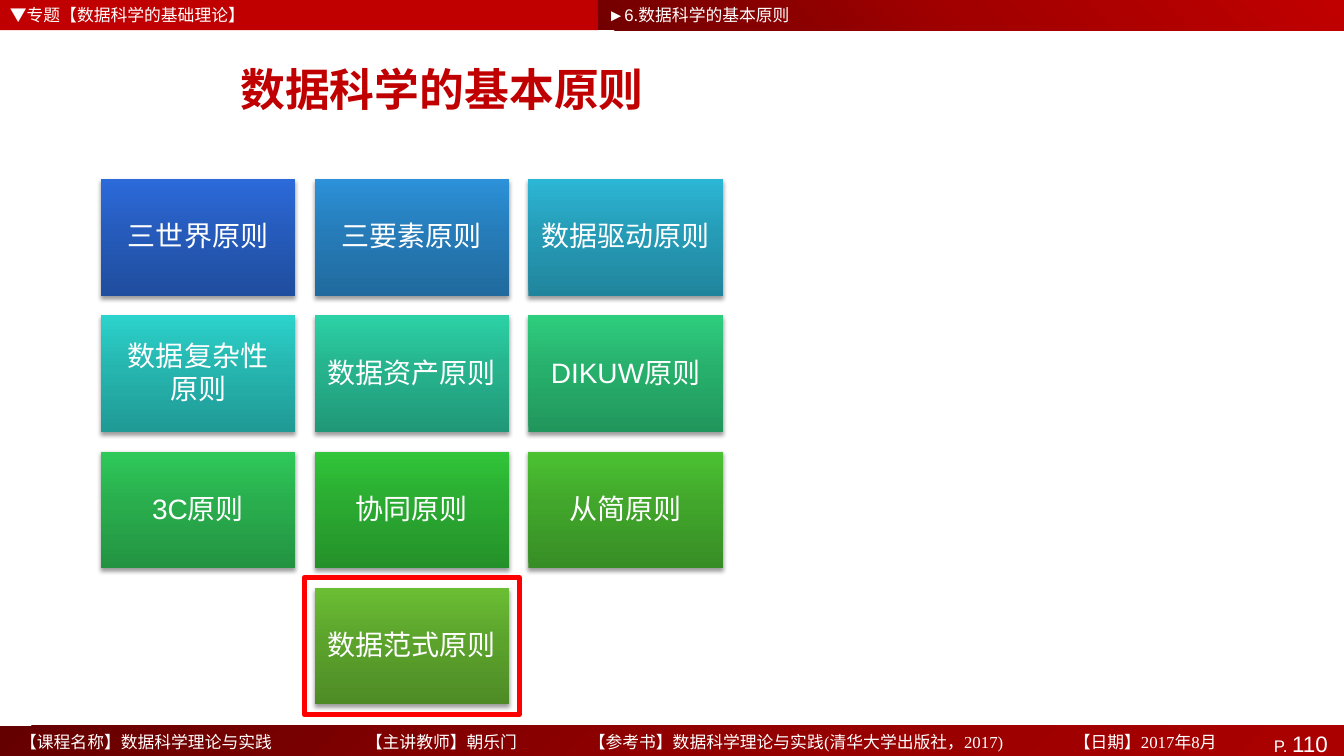
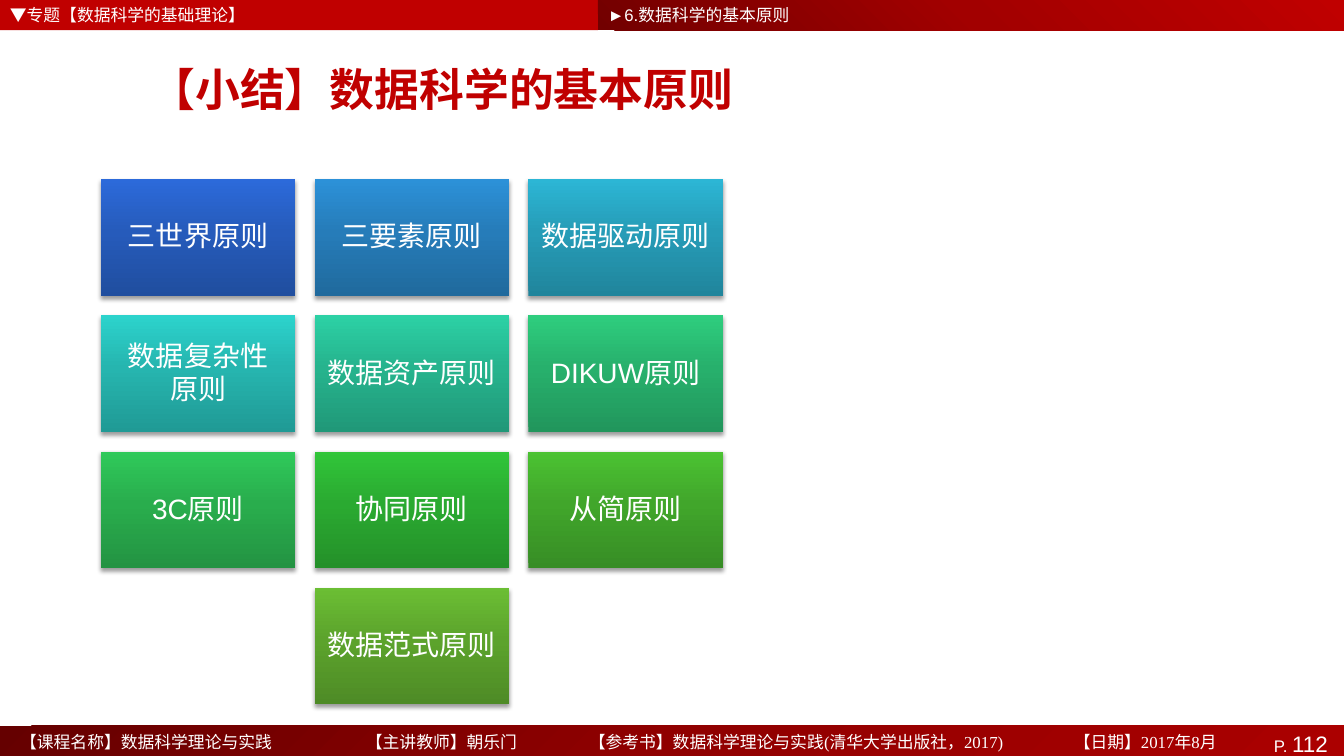
from dataclasses import dataclass

from lxml import etree
from pptx import Presentation
from pptx.dml.color import RGBColor
from pptx.enum.shapes import MSO_SHAPE
from pptx.enum.text import MSO_ANCHOR, PP_ALIGN
from pptx.oxml.ns import qn
from pptx.util import Inches, Pt

RECT = MSO_SHAPE.RECTANGLE
MIDDLE = MSO_ANCHOR.MIDDLE
LEFT, CENTER, RIGHT = PP_ALIGN.LEFT, PP_ALIGN.CENTER, PP_ALIGN.RIGHT

# Slide size, shared bands and type
SLIDE_W, SLIDE_H = 13.33, 7.5
BAND_H = 0.3
SPLIT = 5.93
FOOTER_Y = SLIDE_H - BAND_H
RED, WHITE, FRAME_RED = "C00000", "FFFFFF", "FF0000"
HEADER_STOPS = ((0, "720000"), (50, "A20000"), (100, RED))
FOOTER_STOPS = ((0, "650000"), (50, "900000"), (100, "AB0000"))
SANS, SERIF, CJK = "Arial", "Times New Roman", "Noto Sans CJK SC"

TOPIC = "▼专题【数据科学的基础理论】"
SECTION = "►6.数据科学的基本原则"
FOOTER_X = 0.2
FOOTER_ITEMS = (
    ("【课程名称】数据科学理论与实践", 0.2),
    ("【主讲教师】朝乐门", 3.63),
    ("【参考书】数据科学理论与实践(清华大学出版社，2017)", 5.84),
    ("【日期】2017年8月", 10.65),
)

# Tile grid
GRID_X, GRID_Y = 1, 1.78
TILE_W, TILE_H = 1.93, 1.16
STEP_X, STEP_Y = 2.12, 1.35
FRAME_GAP = 0.1


@dataclass(frozen=True)
class Tile:
    col: int
    row: int
    text: str
    dark: str
    mid: str
    light: str

    @property
    def box(self) -> tuple:
        return (GRID_X + self.col * STEP_X, GRID_Y + self.row * STEP_Y,
                TILE_W, TILE_H)


@dataclass(frozen=True)
class Page:
    title: str
    number: int
    framed: tuple = ()


PARADIGM = Tile(1, 3, "数据范式原则", "4E8B26", "5CA32C", "6BBE34")
TILES = (
    Tile(0, 0, "三世界原则", "204E9F", "265BBB", "2C6ADA"),
    Tile(1, 0, "三要素原则", "206A9D", "267CB9", "2C91D8"),
    Tile(2, 0, "数据驱动原则", "20859C", "269CB7", "2CB6D5"),
    Tile(0, 1, "数据复杂性\n原则", "209A95", "26B5AF", "2CD3CC"),
    Tile(1, 1, "数据资产原则", "209878", "26B38D", "2CD1A5"),
    Tile(2, 1, "DIKUW原则", "21965C", "27B06C", "2ECD7E"),
    Tile(0, 2, "3C原则", "239342", "29AD4D", "2FC95A"),
    Tile(1, 2, "协同原则", "249029", "2AAA31", "31C539"),
    Tile(2, 2, "从简原则", "378D25", "41A62B", "4BC232"),
    PARADIGM,
)
PAGES = (
    Page("数据科学的基本原则", 110, (PARADIGM,)),
    Page("【小结】数据科学的基本原则", 112),
)


def color(value: str) -> RGBColor:
    return RGBColor.from_string(value)


def sub(parent, tag: str, **attrs):
    return etree.SubElement(parent, qn(tag), {k: str(v) for k, v in attrs.items()})


def add_rect(s, box: tuple):
    sp = s.shapes.add_shape(RECT, *map(Inches, box))
    sp.shadow.inherit = False
    sp.fill.background()
    sp.line.fill.background()
    return sp


def set_gradient(sp, stops: tuple, angle: int) -> None:
    """Fill with a linear gradient; angle is counter-clockwise."""
    sp.fill.gradient()
    sp.fill.gradient_angle = angle
    stop_list = sp._element.spPr.find(qn("a:gradFill")).find(qn("a:gsLst"))
    stop_list.clear()
    for pos, value in stops:
        stop = sub(stop_list, "a:gs", pos=pos * 1000)
        sub(stop, "a:srgbClr", val=value)


def set_shadow(sp) -> None:
    effects = sp._element.spPr.find(qn("a:effectLst"))
    shadow = sub(effects, "a:outerShdw", blurRad=Pt(3.1), dist=Pt(2),
                 dir=90 * 60000, rotWithShape=0)
    black = sub(shadow, "a:srgbClr", val="000000")
    sub(black, "a:alpha", val=38000)


def set_font(p, size: float, name: str = SANS, value: str = WHITE,
             bold: bool = False) -> None:
    f = p.font
    f.size, f.bold, f.name = Pt(size), bold, name
    f.color.rgb = color(value)
    sub(f._element, "a:ea", typeface=CJK)


def set_frame(tf, side: float, top: float = 0) -> None:
    tf.word_wrap = True
    tf.vertical_anchor = MIDDLE
    tf.margin_left = tf.margin_right = Inches(side)
    tf.margin_top, tf.margin_bottom = Inches(top), 0


def add_label(s, box: tuple, text: str, side: float = 0.1,
              name: str = SANS, tabs: tuple = ()) -> None:
    tf = s.shapes.add_textbox(*map(Inches, box)).text_frame
    set_frame(tf, side)
    p = tf.paragraphs[0]
    p.text = text
    p.alignment = LEFT
    if tabs:
        tab_list = sub(p._p.get_or_add_pPr(), "a:tabLst")
        for pos in tabs:
            sub(tab_list, "a:tab", pos=Inches(pos), algn="l")
    set_font(p, 12, name)


def add_header(s) -> None:
    band = add_rect(s, (0, 0, SPLIT, BAND_H))
    band.fill.solid()
    band.fill.fore_color.rgb = color(RED)
    set_gradient(add_rect(s, (SPLIT, 0, SLIDE_W - SPLIT, BAND_H)), HEADER_STOPS, 45)
    add_label(s, (0, 0, 4.83, BAND_H), TOPIC)
    add_label(s, (SPLIT, 0, 2.4, BAND_H), SECTION)


def add_footer(s, number: int) -> None:
    band = add_rect(s, (0, FOOTER_Y, SLIDE_W, BAND_H))
    set_gradient(band, FOOTER_STOPS, 315)
    tf = band.text_frame
    set_frame(tf, 0.16, 0.06)
    p = tf.paragraphs[0]
    p.alignment = RIGHT
    set_font(p, 12)
    for text, size in (("P. ", 12), (str(number), 16)):
        r = p.add_run()
        r.text = text
        r.font.size = Pt(size)
        r.font.color.rgb = color(WHITE)
    add_label(s, (FOOTER_X, FOOTER_Y + 0.02, 12.3, BAND_H - 0.02),
              "\t".join(text for text, _ in FOOTER_ITEMS), 0, SERIF,
              tuple(x - FOOTER_X for _, x in FOOTER_ITEMS[1:]))


def set_title(s, text: str) -> None:
    title = s.shapes.title
    title.left, title.top, title.width, title.height = map(
        Inches, (0.44, 0.43, 7.89, 0.9))
    tf = title.text_frame
    tf.text = text
    set_frame(tf, 0.1)
    p = tf.paragraphs[0]
    p.alignment = CENTER
    set_font(p, 32, CJK, RED, True)


def add_tile(s, tile: Tile) -> None:
    sp = add_rect(s, tile.box)
    set_gradient(sp, ((0, tile.dark), (55, tile.mid), (100, tile.light)), 90)
    set_shadow(sp)
    tf = sp.text_frame
    tf.text = tile.text
    set_frame(tf, 0.08)
    for p in tf.paragraphs:
        p.alignment = CENTER
        p.line_spacing = 0.9
        p.space_after = Pt(2.5)
        set_font(p, 20)


def add_highlight(s, tile: Tile) -> None:
    x, y, w, h = tile.box
    sp = add_rect(s, (x - FRAME_GAP, y - FRAME_GAP,
                      w + 2 * FRAME_GAP, h + 2 * FRAME_GAP))
    sp.line.color.rgb = color(FRAME_RED)
    sp.line.width = Pt(3.78)


def main() -> None:
    prs = Presentation()
    prs.slide_width, prs.slide_height = Inches(SLIDE_W), Inches(SLIDE_H)
    title_only = prs.slide_layouts[5]
    for page in PAGES:
        s = prs.slides.add_slide(title_only)
        set_title(s, page.title)
        add_header(s)
        add_footer(s, page.number)
        for tile in TILES:
            add_tile(s, tile)
        for tile in page.framed:
            add_highlight(s, tile)
    prs.save("out.pptx")


if __name__ == "__main__":
    main()
